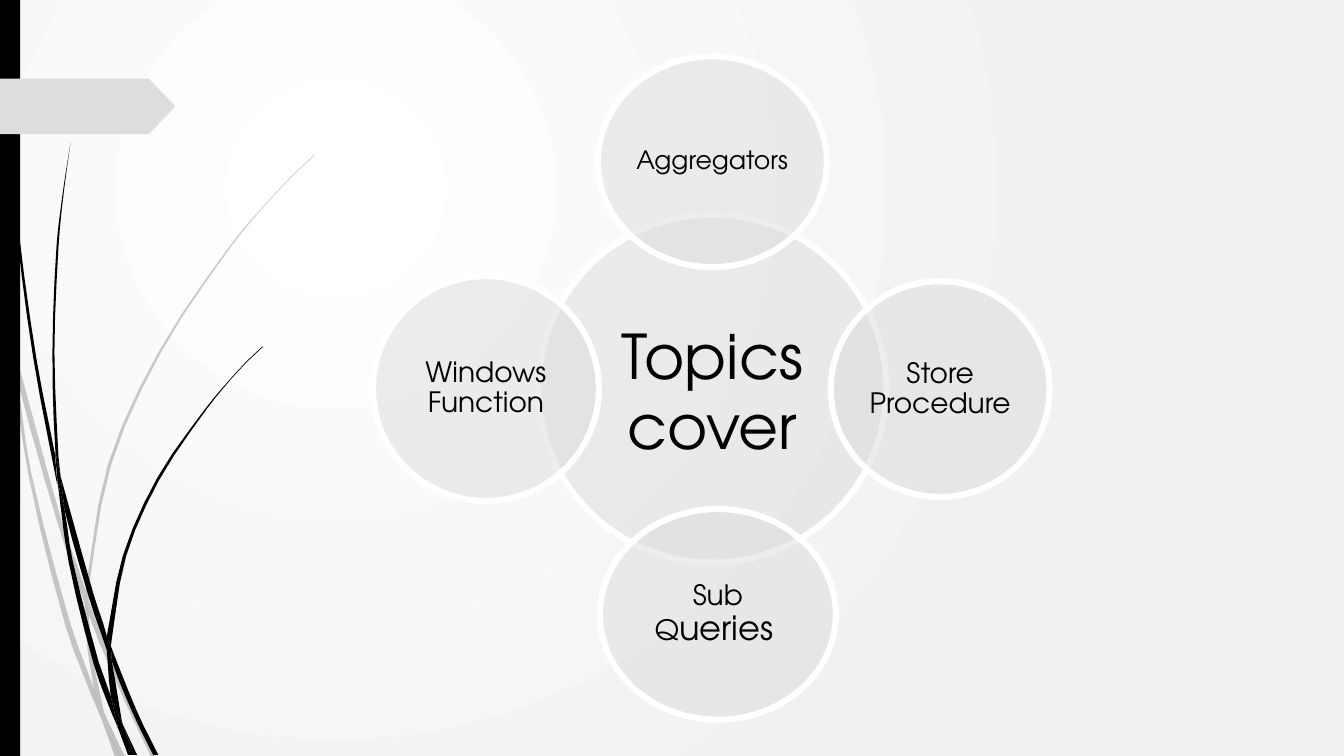
from math import dist
from lxml.etree import SubElement
from pptx import Presentation
from pptx.dml.color import RGBColor
from pptx.enum.shapes import MSO_SHAPE
from pptx.enum.text import MSO_ANCHOR, PP_ALIGN
from pptx.oxml.ns import qn
from pptx.util import Inches, Pt

FONT = "TeX Gyre Adventor"
COLORS = {"ink": "000000", "ball": "DDDDDD", "edge": "FFFFFF",
          "glow": "FFFFFF", "mist": "F1F1F1"}
WIDE, HIGH = 13.33, 7.5
UNITS = 1000
STEPS = 3

GRAY = [
    [(0.11, 3.5), (0.09, 3.22), (0, 2.82), (0, 2.99), (0.1, 3.44)],
    [(0.58, 5.22), (0.84, 5.99), (0.85, 5.86), (0.62, 5.2), (0.14, 3.45),
     (0.17, 3.76)],
    [(0.92, 6.07), (0.88, 5.96), (0.88, 6.1), (1.23, 6.94), (1.5, 7.51),
     (1.55, 7.51), (1.27, 6.92)],
    [(1.19, 7.51), (1.24, 7.51), (1.05, 7.11)],
    [(0.93, 6.83), (0.7, 6.19), (0.31, 4.69), (0.17, 3.76), (0.11, 3.5),
     (0.28, 4.7), (0.65, 6.21), (0.92, 6.93), (1.01, 7.14), (0.99, 7.07)],
    [(0.84, 5.99), (0.87, 6.46), (0.93, 6.83), (0.96, 6.92), (1.05, 7.11),
     (1.03, 7.06), (0.91, 6.46), (0.88, 6.1), (0.88, 6.08)],
    [(0.88, 5.84), (1.1, 4.62), (1.6, 3.49), (2.29, 2.45), (2.68, 1.98),
     (2.9, 1.75), (3.12, 1.54), (3.12, 1.53), (2.89, 1.75), (2.68, 1.97),
     (2.28, 2.44), (1.58, 3.48), (1.07, 4.61), (0.85, 5.84), (0.85, 5.86),
     (0.88, 5.96)],
    [(1.01, 7.14), (1.14, 7.51), (1.19, 7.51)],
    [(0.88, 6.08), (0.88, 6.1), (0.88, 5.96), (0.85, 5.86), (0.84, 5.99)],
    [(0.96, 6.92), (0.93, 6.83), (0.99, 7.07), (1.01, 7.14), (1.19, 7.51),
     (1.05, 7.11)],
]
DARK = [
    [(0.07, 1.1), (0.17, 2.33), (0.33, 3.55), (0.56, 4.77), (0.57, 4.81),
     (0.55, 4.57), (0.55, 4.53), (0.36, 3.55), (0.19, 2.32), (0.08, 1.09),
     (0.05, 0.48), (0.04, 0), (0.03, 0), (0.04, 0.48)],
    [(0.88, 5.92), (1.06, 6.45), (1.06, 6.31), (0.93, 5.9), (0.6, 4.72),
     (0.64, 5.05)],
    [(1.13, 6.49), (1.1, 6.41), (1.11, 6.56), (1.32, 7.08), (1.52, 7.49),
     (1.57, 7.49), (1.36, 7.06)],
    [(1.1, 6.91), (0.98, 6.57), (0.72, 5.56), (0.64, 5.05), (0.57, 4.77),
     (0.68, 5.57), (0.93, 6.59), (1.11, 7.08), (1.17, 7.22), (1.16, 7.17)],
    [(0.6, 4.72), (0.58, 4.53), (0.54, 3.49), (0.58, 2.45), (0.63, 1.93),
     (0.7, 1.41), (0.62, 1.93), (0.56, 2.45), (0.52, 3.49), (0.55, 4.49)],
    [(1.33, 7.49), (1.36, 7.49), (1.22, 7.19)],
    [(0.57, 4.77), (0.64, 5.05), (0.6, 4.72), (0.55, 4.49), (0.55, 4.53)],
    [(1.11, 6.33), (1.25, 5.52), (1.58, 4.76), (2.05, 4.06), (2.31, 3.74),
     (2.45, 3.59), (2.61, 3.44), (2.6, 3.44), (2.45, 3.58), (2.31, 3.73),
     (2.04, 4.05), (1.56, 4.74), (1.22, 5.51), (1.06, 6.31), (1.1, 6.41)],
    [(1.17, 7.22), (1.27, 7.49), (1.31, 7.49)],
    [(1.06, 6.45), (1.1, 6.91), (1.16, 7.06), (1.22, 7.19), (1.21, 7.16),
     (1.11, 6.56), (1.09, 6.51)],
    [(1.06, 6.45), (1.09, 6.51), (1.11, 6.56), (1.1, 6.41), (1.06, 6.31)],
    [(1.16, 7.06), (1.1, 6.91), (1.16, 7.17), (1.17, 7.22), (1.3, 7.49),
     (1.33, 7.49), (1.22, 7.19)],
]
BALLS = [
    ((5.34, 2.13, 3.45, 3.45), 0.06, [("Topics", 44), (" ", 54), ("cover", 44)]),
    ((5.93, 0.56, 2.27, 2.09), 0.03, [("Aggregators", 18)]),
    ((8.24, 2.79, 2.17, 2.14), 0.03, [("Store Procedure ", 20)]),
    ((5.95, 5.05, 2.34, 2.09), 0.03, [("Sub Q", 20), ("ueries", 24), (" ", 20)]),
    ((3.7, 2.74, 2.24, 2.23), 0.03, [("Windows Function", 20)]),
]


def tint(name):
    return RGBColor.from_string(COLORS[name])


def paint(shape, name, alpha=100):
    shape.shadow.inherit = False
    shape.fill.solid()
    shape.fill.fore_color.rgb = tint(name)
    shape.line.fill.background()
    if alpha < 100:
        color = shape.fill._xPr.find(qn("a:solidFill"))[0]
        SubElement(color, qn("a:alpha")).set("val", str(alpha * 1000))


def add_shape(slide, kind, box):
    return slide.shapes.add_shape(kind, *map(Inches, box))


def add_glow(slide):
    fill = slide.background.fill
    fill.gradient()
    for stop, name in zip(fill.gradient_stops, ("glow", "mist")):
        stop.color.rgb = tint(name)
    grad = next(slide.element.iter(qn("a:gradFill")))
    grad.remove(grad.find(qn("a:lin")))
    ring = SubElement(grad, qn("a:path"))
    ring.set("path", "circle")
    focus = SubElement(ring, qn("a:fillToRect"))
    for side, part in zip("ltrb", (50, 50, 100, 100)):
        focus.set(side, str(part * 1000))


def slope(a, b, c, chord):
    dot = sum((q - p) * (r - q) for p, q, r in zip(a, b, c))
    if dot < 0.85 * dist(a, b) * dist(b, c):
        return chord
    scale = dist((0, 0), chord) / dist(a, c)
    return tuple((r - p) * scale for p, r in zip(a, c))


def smooth(knots):
    points = []
    for i, b in enumerate(knots):
        a, c, d = (knots[(i + k) % len(knots)] for k in (-1, 1, 2))
        chord = (c[0] - b[0], c[1] - b[1])
        start, end = slope(a, b, c, chord), slope(b, c, d, chord)
        count = STEPS if dist(b, c) > 0.4 else 1
        for t in (step / count for step in range(count)):
            ease = t * t * (3 - 2 * t)
            points.append(tuple(
                p + ease * (q - p) + t * (1 - t) ** 2 * m - t * t * (1 - t) * n
                for p, q, m, n in zip(b, c, start, end)))
    return points


def add_blade(slide, box, knots, alpha):
    left, top = box[:2]
    rim = [(round((left + x) * UNITS), round((top + y) * UNITS))
           for x, y in smooth(knots)]
    pen = slide.shapes.build_freeform(*rim[0], scale=Inches(1) / UNITS)
    pen.add_line_segments(rim[1:], close=True)
    paint(pen.convert_to_shape(), "ink", alpha)


def add_side(slide, box):
    left, top, wide, high = box
    for blades, alpha in ((GRAY, 20), (DARK, 100)):
        for knots in blades:
            add_blade(slide, box, knots, alpha)
    paint(add_shape(slide, MSO_SHAPE.RECTANGLE, (left, top, 0.2, high)), "ink")
    tag = add_shape(slide, MSO_SHAPE.PENTAGON, (left, top + 0.78, wide, 0.55))
    tag.adjustments[0] = 0.48
    paint(tag, "ball")


def add_ball(slide, box, inset, words):
    ball = add_shape(slide, MSO_SHAPE.OVAL, box)
    paint(ball, "ball", 50)
    ball.line.color.rgb = tint("edge")
    ball.line.width = Pt(4.33)
    frame = ball.text_frame
    frame.word_wrap = True
    frame.vertical_anchor = MSO_ANCHOR.MIDDLE
    frame.margin_left = frame.margin_right = Inches(inset)
    frame.margin_top = frame.margin_bottom = Inches(inset)
    para = frame.paragraphs[0]
    para.alignment = PP_ALIGN.CENTER
    para.line_spacing = 0.9
    for word, size in words:
        run = para.add_run()
        run.text = word
        run.font.name = FONT
        run.font.size = Pt(size)
        run.font.color.rgb = tint("ink")


def main():
    deck = Presentation()
    deck.slide_width, deck.slide_height = Inches(WIDE), Inches(HIGH)
    slide = deck.slides.add_slide(deck.slide_layouts[6])
    add_glow(slide)
    add_side(slide, (0, 0, 1.74, HIGH))
    for box, inset, words in BALLS:
        add_ball(slide, box, inset, words)
    deck.save("out.pptx")


if __name__ == "__main__":
    main()
